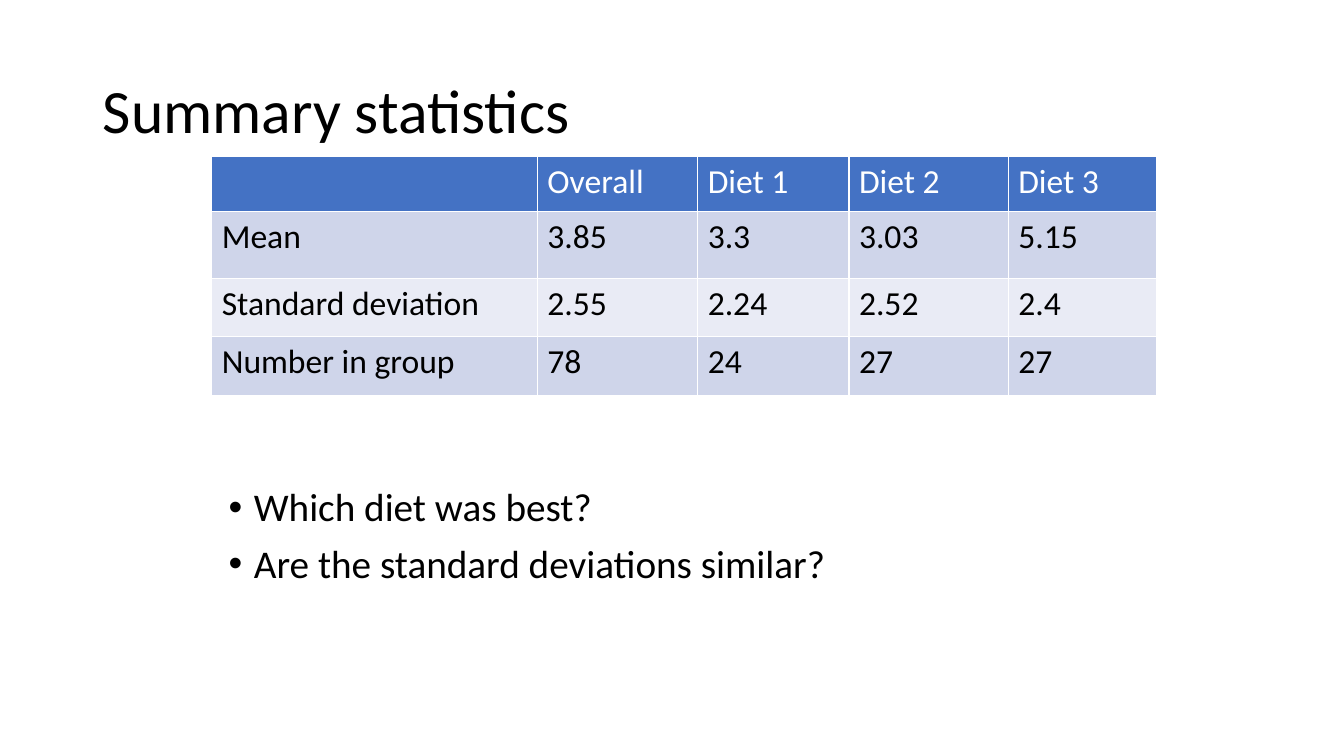
from lxml import etree
from pptx import Presentation
from pptx.dml.color import RGBColor
from pptx.enum import text
from pptx.oxml.ns import qn
from pptx.util import Inches, Pt

TITLE = "Summary statistics"
STATISTICS = [
    ["", "Overall", "Diet 1", "Diet 2", "Diet 3"],
    ["Mean", "3.85", "3.3", "3.03", "5.15"],
    ["Standard deviation", "2.55", "2.24", "2.52", "2.4"],
    ["Number in group", "78", "24", "27", "27"],
]
QUESTIONS = ["Which diet was best?", "Are the standard deviations similar?"]

COLUMN_WIDTHS = [3.23, 1.59, 1.5, 1.58, 1.47]
ROW_HEIGHTS = [0.55, 0.66, 0.58, 0.58]
HEADER_FILL = "4472C4"
BAND_FILLS = ["E9EBF5", "CFD5EA"]
BLACK, WHITE = "000000", "FFFFFF"


def color(code):
    return RGBColor.from_string(code)


def style(paragraph, size, code):
    paragraph.font.name = "Calibri"
    paragraph.font.size = Pt(size)
    paragraph.font.bold = False
    paragraph.font.color.rgb = color(code)


def add_borders(cell):
    """Give a cell thin white lines; call before setting its fill."""
    properties = cell._tc.get_or_add_tcPr()
    for side in ("a:lnL", "a:lnR", "a:lnT", "a:lnB"):
        line = etree.SubElement(properties, qn(side), w=str(Pt(1)))
        solid = etree.SubElement(line, qn("a:solidFill"))
        etree.SubElement(solid, qn("a:srgbClr"), val=WHITE)


def add_bullet(paragraph, indent):
    properties = paragraph._p.get_or_add_pPr()
    properties.set("marL", str(indent))
    properties.set("indent", str(-indent))
    etree.SubElement(properties, qn("a:buFont"), typeface="Arial")
    etree.SubElement(properties, qn("a:buChar"), char="•")


def add_title(slide):
    title = slide.shapes.title
    title.left, title.top = Inches(0.92), Inches(0.4)
    title.width, title.height = Inches(11.5), Inches(1.45)
    frame = title.text_frame
    frame.text = TITLE
    frame.vertical_anchor = text.MSO_ANCHOR.MIDDLE
    heading = frame.paragraphs[0]
    heading.alignment = text.PP_ALIGN.LEFT
    heading.line_spacing = 0.9
    style(heading, 44, BLACK)


def add_statistics(slide):
    table = slide.shapes.add_table(
        len(STATISTICS), len(COLUMN_WIDTHS), Inches(2.1), Inches(1.55),
        Inches(sum(COLUMN_WIDTHS)), Inches(sum(ROW_HEIGHTS))).table
    for column, width in zip(table.columns, COLUMN_WIDTHS):
        column.width = Inches(width)
    for row, height in zip(table.rows, ROW_HEIGHTS):
        row.height = Inches(height)
    for r, values in enumerate(STATISTICS):
        for c, value in enumerate(values):
            cell = table.cell(r, c)
            add_borders(cell)
            cell.fill.solid()
            cell.fill.fore_color.rgb = color(BAND_FILLS[r % 2] if r else HEADER_FILL)
            cell.text = value
            style(cell.text_frame.paragraphs[0], 24, BLACK if r else WHITE)


def add_questions(slide):
    frame = slide.shapes.add_textbox(
        Inches(2.17), Inches(4.79), Inches(9), Inches(1.78)).text_frame
    frame.word_wrap = True
    for i, question in enumerate(QUESTIONS):
        paragraph = frame.add_paragraph() if i else frame.paragraphs[0]
        paragraph.text = question
        paragraph.line_spacing = 0.9
        paragraph.space_before = Pt(10 if i else 0)
        add_bullet(paragraph, Inches(0.25))
        style(paragraph, 28, BLACK)


def main():
    presentation = Presentation()
    presentation.slide_width, presentation.slide_height = Inches(13.33), Inches(7.5)
    slide = presentation.slides.add_slide(presentation.slide_layouts[5])
    add_title(slide)
    add_statistics(slide)
    add_questions(slide)
    presentation.save("out.pptx")


if __name__ == "__main__":
    main()
